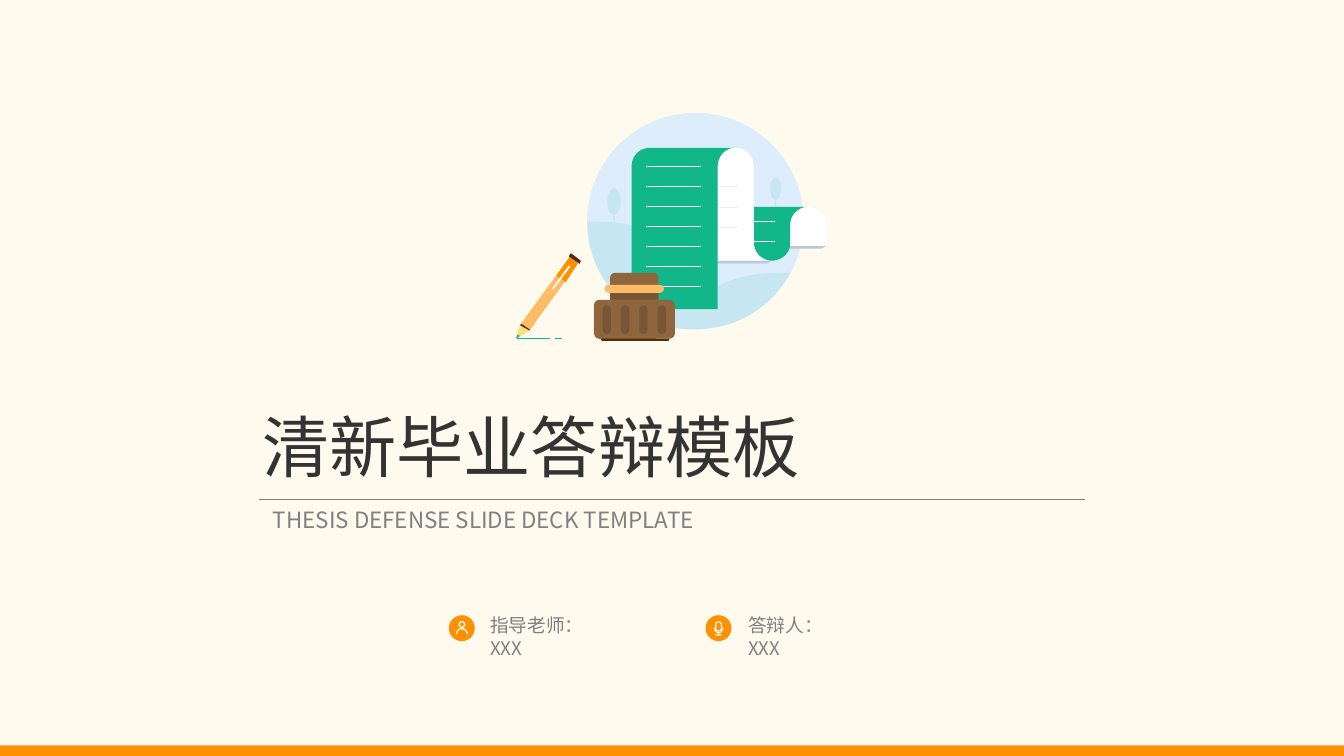
from lxml import etree
from pptx import Presentation
from pptx.dml.color import RGBColor
from pptx.enum.shapes import MSO_CONNECTOR, MSO_SHAPE
from pptx.enum.text import MSO_ANCHOR, MSO_AUTO_SIZE, PP_ALIGN
from pptx.oxml.ns import qn
from pptx.util import Pt

OVAL, RECT, ROUND = MSO_SHAPE.OVAL, MSO_SHAPE.RECTANGLE, MSO_SHAPE.ROUNDED_RECTANGLE
ARCH, RING, ARC = MSO_SHAPE.ROUND_2_SAME_RECTANGLE, MSO_SHAPE.DONUT, MSO_SHAPE.BLOCK_ARC
LINE = MSO_CONNECTOR.STRAIGHT
TOP, MIDDLE = MSO_ANCHOR.TOP, MSO_ANCHOR.MIDDLE
LEFT, NO_FIT = PP_ALIGN.LEFT, MSO_AUTO_SIZE.NONE

CREAM = RGBColor(0xFE, 0xFA, 0xEE)
SKY = RGBColor(0xDE, 0xED, 0xFB)
HILL = RGBColor(0xC6, 0xE6, 0xF2)
GREEN = RGBColor(0x12, 0xB7, 0x89)
WHITE = RGBColor(0xFF, 0xFF, 0xFF)
PALE = RGBColor(0xEE, 0xEE, 0xEE)
SHADE = RGBColor(0xB7, 0xC8, 0xD6)
ORANGE = RGBColor(0xFF, 0x91, 0x01)
PEACH = RGBColor(0xFF, 0xBC, 0x66)
YELLOW = RGBColor(0xFD, 0xE1, 0x76)
BROWN = RGBColor(0x8F, 0x65, 0x3B)
UMBER = RGBColor(0x77, 0x56, 0x38)
DARK = RGBColor(0x50, 0x2E, 0x11)
INK = RGBColor(0x33, 0x33, 0x33)
GREY = RGBColor(0x80, 0x80, 0x80)
FONT = "Noto Sans CJK SC"

deck = Presentation()
deck.slide_width, deck.slide_height = Pt(720), Pt(405)
slide = deck.slides.add_slide(deck.slide_layouts[0])
slide.background.fill.solid()
slide.background.fill.fore_color.rgb = CREAM
shapes = slide.shapes


def add(kind, color, x, y, w, h, **adjust):
    """Add a filled preset; adjust maps names such as a0 to values."""
    shape = shapes.add_shape(kind, Pt(x), Pt(y), Pt(w), Pt(h))
    shape.shadow.inherit = False
    shape.fill.solid()
    shape.fill.fore_color.rgb = color
    shape.line.fill.background()
    for name, value in adjust.items():
        shape.adjustments[int(name[1:])] = value
    return shape


def rule(color, x1, x2, y):
    """Add a thin level line."""
    line = shapes.add_connector(LINE, Pt(x1), Pt(y), Pt(x2), Pt(y))
    line.line.color.rgb = color
    line.line.width = Pt(0.5)
    etree.SubElement(line._element.spPr, qn("a:effectLst"))


# Sky and trees
add(OVAL, SKY, 314.6, 60.5, 116, 116)
for x, y, w, h, trunk in ((325.4, 100.8, 7.2, 14.4, 5), (412.6, 95, 5.8, 12.2, 4.6)):
    add(OVAL, HILL, x, y, w, h)
    add(RECT, HILL, x + w / 2 - 0.4, y + h - 0.2, 0.8, trunk)

# Curved outlines: a pair is a corner, six numbers are a Bezier curve
# Each may carry rules: colour, left, right, heights
outlines = [
    # Hills
    (HILL, [(417.6, 146.2), (405.4, 146.2, 394.6, 148.3, 384.5, 153.4),
            (371.5, 132.5, 348.5, 118.8, 321.8, 118.8), (314.6, 118.8),
            (314.6, 146.2, 333.4, 168.5, 358.6, 175),
            (362.9, 176.4, 367.9, 176.4, 372.2, 176.4),
            (379.4, 176.4, 386.6, 175, 393.1, 172.8),
            (406.1, 167.8, 416.9, 158.4, 423.4, 146.2)], None),
    # Pencil
    (PEACH, [(283.7, 177.1), (278.6, 174.2), (305.3, 137.5), (309.6, 141.1)], None),
    (ORANGE, [(303.1, 151.2), (298.1, 147.6), (305.3, 137.5), (309.6, 141.1)], None),
    (WHITE, [(296.5, 155.2), (295.8, 154.6), (304.7, 142.3), (305.5, 142.9)], None),
    (DARK, [(310.5, 141.4), (304.8, 137.4), (305.5, 135.9), (306.2, 135.9),
            (311.2, 139.8)], None),
    (YELLOW, [(276.5, 181.4), (278.6, 174.2), (283.7, 177.1)], None),
    (DARK, [(283.7, 176.4), (279.4, 173.5), (278.6, 174.2), (283.7, 177.1)], None),
    (GREEN, [(277.2, 179.3), (276.5, 181.4), (278.6, 180)],
     (GREEN, 277.2, 294.5, [181.4])),
    # Scroll shadows
    (SHADE, [(384.5, 141.1), (411.1, 141.1), (413.3, 139.7), (384.5, 139.7)], None),
    (SHADE, [(413.3, 133.2), (439.9, 133.2), (442.8, 131.8), (413.3, 131.8)], None),
    # Scroll, from its far end to the front page
    (GREEN, [(432.7, 110.9), (403.9, 110.9), (403.9, 130.3),
             (403.9, 135.4, 408.2, 139.7, 413.3, 139.7),
             (419, 139.7, 423.4, 135.4, 423.4, 130.3), (423.4, 120.2),
             (423.4, 115.2, 427.7, 110.9, 432.7, 110.9)],
     (WHITE, 385.9, 415.4, [118.8, 129.6])),
    (WHITE, [(403.9, 130.3), (403.9, 89.3), (403.9, 83.5, 399.6, 79.2, 393.8, 79.2),
             (388.8, 79.2, 384.5, 83.5, 384.5, 89.3), (384.5, 139.7), (413.3, 139.7),
             (408.2, 139.7, 403.9, 135.4, 403.9, 130.3)],
     (PALE, 365.8, 395.3, [100.1, 110.9, 121.7])),
    (GREEN, [(393.8, 79.2), (348.5, 79.2), (342.7, 79.2, 338.4, 83.5, 338.4, 89.3),
             (338.4, 165.6), (384.5, 165.6), (384.5, 89.3),
             (384.5, 83.5, 388.8, 79.2, 393.8, 79.2)],
     (WHITE, 346.3, 375.8, [89.3 + 10.68 * i for i in range(7)])),
]
for color, steps, rules in outlines:
    dots = [steps[0]]
    for step in steps[1:]:
        if len(step) == 2:
            dots.append(step)
            continue
        knots = [dots[-1], step[:2], step[2:4], step[4:]]
        for i in range(1, 13):
            t = i / 12
            parts = ((1 - t) ** 3, 3 * t * (1 - t) ** 2, 3 * t * t * (1 - t), t ** 3)
            dots.append(tuple(sum(p * k[a] for p, k in zip(parts, knots)) for a in (0, 1)))
    dots = [(Pt(x), Pt(y)) for x, y in dots]
    pen = shapes.build_freeform(*dots[0], scale=1.0)
    pen.add_line_segments(dots[1:], close=True)
    form = pen.convert_to_shape()
    form.shadow.inherit = False
    form.fill.solid()
    form.fill.fore_color.rgb = color
    form.line.fill.background()
    if rules:
        tint, x1, x2, rows = rules
        for y in rows:
            rule(tint, x1, x2, y)
rule(GREEN, 297.4, 301, 181.4)
add(ARCH, WHITE, 423.4, 110.9, 19.4, 20.9, a0=0.5)

# Ink jar
add(ROUND, BROWN, 326.9, 146.2, 25.9, 17.3, a0=0.14)
add(RECT, UMBER, 326.9, 157, 25.9, 3.6)
add(ROUND, PEACH, 324, 152.6, 31.7, 4.3, a0=0.5)
add(ROUND, BROWN, 318.2, 160.6, 43.4, 20.9, a0=0.14)
for i in range(4):
    add(ROUND, UMBER, 322.8 + 9.84 * i, 163.6, 4.5, 15.4, a0=0.5)
add(ROUND, DARK, 322, 181.4, 36.6, 1.2, a0=0.5)

# Title and subtitle
title, sub = shapes.title, slide.placeholders[1]
title.text_frame.text = "清新毕业答辩模板"
sub.text_frame.text = "THESIS DEFENSE SLIDE DECK TEMPLATE"
rule(GREY, 139, 581, 267.8)

# Badges
for x in (240.5, 378):
    add(OVAL, ORANGE, x, 329.6, 13.9, 13.9)
add(RING, CREAM, 245.6, 332.7, 3.7, 3.7, a0=0.2)
add(ARC, CREAM, 244.2, 336.4, 6.5, 6.6, a2=0.11)
bowl = add(ARC, CREAM, 382.3, 333.5, 5.3, 5.8, a2=0.12)
bowl.rotation = 180
mic = add(ROUND, ORANGE, 383.4, 333.1, 3.1, 5, a0=0.5)
mic.line.color.rgb = CREAM
mic.line.width = Pt(0.6)
add(RECT, CREAM, 384.6, 339, 0.7, 1.2)
add(RECT, CREAM, 383.2, 339.9, 3.5, 0.7)

# Names
tutor = shapes.add_textbox(0, 0, 0, 0)
tutor.text_frame.text = "指导老师：XXX"
author = shapes.add_textbox(0, 0, 0, 0)
author.text_frame.text = "答辩人：XXX"

# Place and format all text
for box, x, y, w, h, size, color, anchor in (
    (title, 133.2, 213.8, 453.6, 51.1, 36, INK, TOP),
    (sub, 139, 270.7, 442, 15.8, 12, GREY, MIDDLE),
    (tutor, 255.6, 325.4, 79.9, 19.4, 10, GREY, TOP),
    (author, 393.8, 325.4, 69.8, 19.4, 10, GREY, TOP),
):
    box.left, box.top, box.width, box.height = Pt(x), Pt(y), Pt(w), Pt(h)
    frame = box.text_frame
    frame.word_wrap = True
    frame.auto_size = NO_FIT
    frame.vertical_anchor = anchor
    para = frame.paragraphs[0]
    para.alignment = LEFT
    para.space_before = Pt(0)
    run = para.runs[0]
    run.font.size = Pt(size)
    run.font.name = FONT
    run.font.color.rgb = color
    etree.SubElement(run.font._element, qn("a:ea"), typeface=FONT)

# Footer band
add(RECT, ORANGE, 0, 399.4, 720, 5.6)

deck.save("out.pptx")
